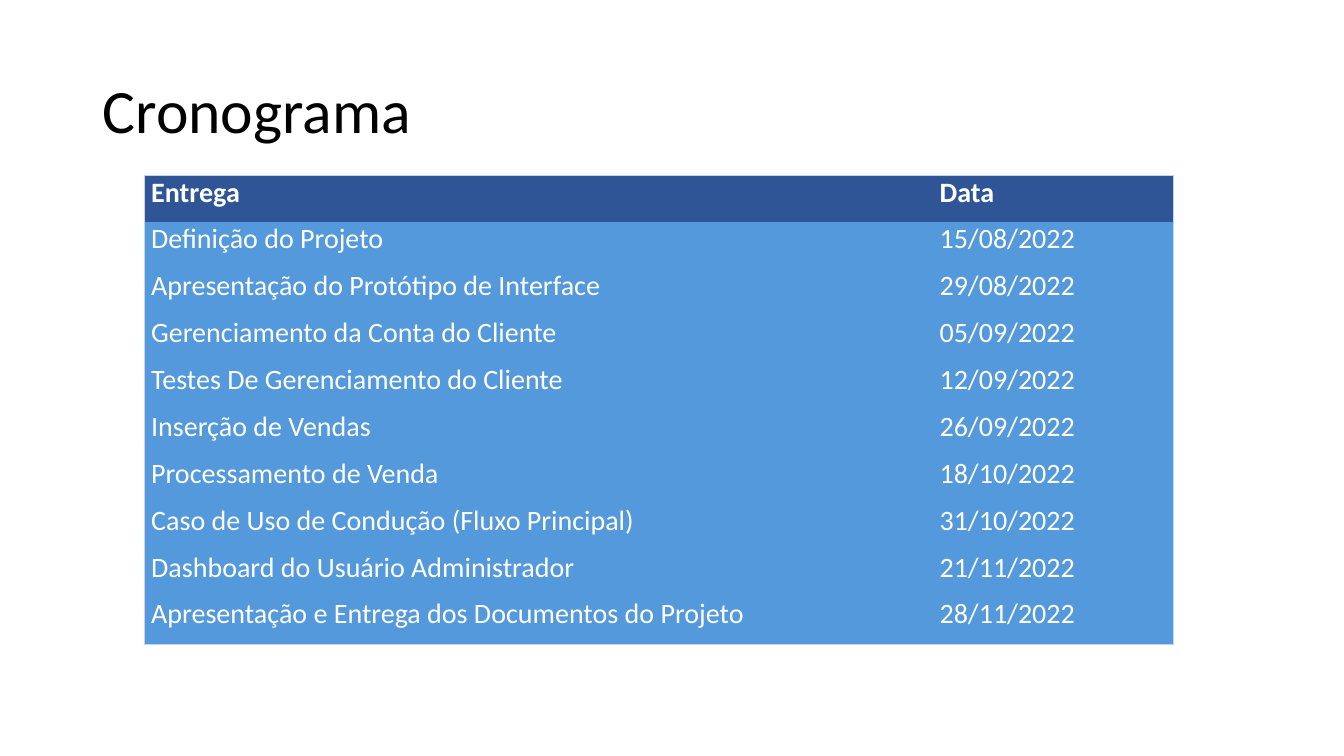
import pptx
import pptx.util
import pptx.dml.color
import pptx.enum.text
import pptx.oxml
import pptx.oxml.ns
import lxml.etree

Inches = pptx.util.Inches
Pt = pptx.util.Pt
RGBColor = pptx.dml.color.RGBColor
qn = pptx.oxml.ns.qn

BLACK = RGBColor(0x00, 0x00, 0x00)
WHITE = RGBColor(0xFF, 0xFF, 0xFF)
HEADER_BLUE = RGBColor(0x2F, 0x55, 0x97)
BODY_BLUE = RGBColor(0x54, 0x99, 0xDB)
BORDER_BLUE = RGBColor(0xC4, 0xD5, 0xEB)
FONT = "Calibri"
PLAIN_TABLE_STYLE = "{2D5ABB26-0587-4C30-8999-92F81FD0307C}"

SCHEDULE = [
    ("Entrega", "Data"),
    ("Definição do Projeto", "15/08/2022"),
    ("Apresentação do Protótipo de Interface", "29/08/2022"),
    ("Gerenciamento da Conta do Cliente", "05/09/2022"),
    ("Testes De Gerenciamento do Cliente", "12/09/2022"),
    ("Inserção de Vendas", "26/09/2022"),
    ("Processamento de Venda", "18/10/2022"),
    ("Caso de Uso de Condução (Fluxo Principal)", "31/10/2022"),
    ("Dashboard do Usuário Administrador", "21/11/2022"),
    ("Apresentação e Entrega dos Documentos do Projeto", "28/11/2022"),
]


def style_paragraph(p, size, color, bold=False):
    p.font.name = FONT
    p.font.size = Pt(size)
    p.font.color.rgb = color
    p.font.bold = bold


def add_title(slide, text, left, top, width, height):
    sp = slide.shapes.add_textbox(left, top, width, height)
    tf = sp.text_frame
    tf.word_wrap = True
    tf.vertical_anchor = pptx.enum.text.MSO_ANCHOR.MIDDLE
    p = tf.paragraphs[0]
    p.text = text
    p.line_spacing = 0.9
    style_paragraph(p, 44, BLACK)


def set_borders(cell, sides):
    tc_pr = cell._tc.get_or_add_tcPr()
    for i, side in enumerate(sides):
        ln = lxml.etree.Element(qn("a:ln" + side), w=str(Pt(0.5)))
        fill = lxml.etree.SubElement(ln, qn("a:solidFill"))
        lxml.etree.SubElement(fill, qn("a:srgbClr"), val=str(BORDER_BLUE))
        tc_pr.insert(i, ln)


def add_schedule(slide, rows, left, top, width, height, date_width):
    frame = slide.shapes.add_table(len(rows), 2, left, top, width, height)
    table = frame.table
    table._tbl.tblPr.find(qn("a:tableStyleId")).text = PLAIN_TABLE_STYLE
    table.horz_banding = False
    table.columns[0].width = width - date_width
    table.columns[1].width = date_width
    last = len(rows) - 1
    for i, row in enumerate(rows):
        for j, text in enumerate(row):
            cell = table.cell(i, j)
            cell.margin_left = cell.margin_right = Inches(0.07)
            cell.margin_top = cell.margin_bottom = 0
            cell.fill.solid()
            cell.fill.fore_color.rgb = HEADER_BLUE if i == 0 else BODY_BLUE
            p = cell.text_frame.paragraphs[0]
            p.text = text
            style_paragraph(p, 20, WHITE, bold=i == 0)
            sides = "LR"[j] + ("T" if i == 0 else "") + ("B" if i == last else "")
            set_borders(cell, sides)


def main():
    prs = pptx.Presentation()
    prs.slide_width = Inches(13.33)
    prs.slide_height = Inches(7.5)
    slide = prs.slides.add_slide(prs.slide_layouts[6])
    add_title(slide, "Cronograma",
              Inches(0.92), Inches(0.4), Inches(11.5), Inches(1.45))
    add_schedule(slide, SCHEDULE,
                 Inches(1.43), Inches(1.74), Inches(10.21), Inches(4.65),
                 date_width=Inches(2.39))
    prs.save("out.pptx")


if __name__ == "__main__":
    main()
